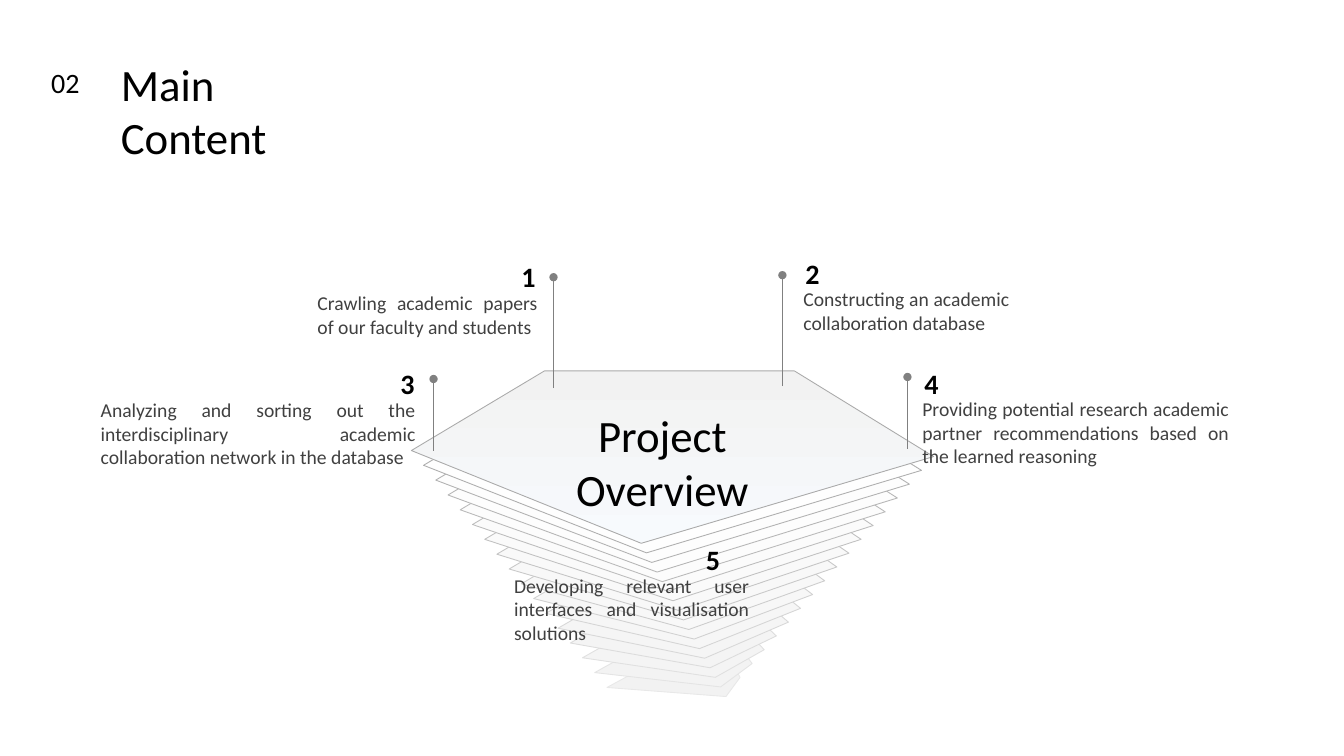
"""Build the "Main Content" slide: a tapering stack of sheets with five labels."""
from dataclasses import dataclass

from lxml import etree
from pptx import Presentation
from pptx.dml.color import RGBColor
from pptx.enum.shapes import MSO_CONNECTOR
from pptx.enum.text import PP_ALIGN
from pptx.oxml.ns import qn
from pptx.util import Inches, Pt

STRAIGHT = MSO_CONNECTOR.STRAIGHT
LEFT, RIGHT = PP_ALIGN.LEFT, PP_ALIGN.RIGHT
CENTER, JUSTIFY = PP_ALIGN.CENTER, PP_ALIGN.JUSTIFY


@dataclass(frozen=True)
class Theme:
    """Colours, type sizes and line widths of the slide."""
    font: str = "Calibri"
    ink: str = "000000"
    body_ink: str = "404040"
    pin: str = "808080"
    gradient: tuple = ("F2F2F2", "F7FAFD")
    sheet_fill: tuple = (0xF2, 0xFF)
    sheet_line: tuple = (0xE8, 0xAA)
    title_size: int = 32
    number_size: int = 20
    body_size: int = 14
    sheet_width: float = 0.63
    pin_width: float = 0.5


def apply(target, values):
    """Set each attribute of the target from a dict."""
    for name, value in values.items():
        setattr(target, name, value)


def blend(start, end, share):
    """Return the value lying at a share of the way between two numbers."""
    return start + (end - start) * share


def grey(ends, share):
    """Return a grey RRGGBB between two levels."""
    return f"{round(blend(*ends, share)):02X}" * 3


class SlideBuilder:
    """Draws themed elements on one slide."""

    def __init__(self, slide, theme):
        """Keep the slide and its style."""
        self.shapes = slide.shapes
        self.theme = theme

    def text(self, box, words, size, color=None, align=LEFT, bold=False, wrap=True):
        """Add a text box; box is left, top, width, height in inches."""
        shape = self.shapes.add_textbox(*map(Inches, box))
        shape.text_frame.word_wrap = wrap
        paragraph = shape.text_frame.paragraphs[0]
        paragraph.alignment = align
        run = paragraph.add_run()
        run.text = words
        apply(run.font, {"name": self.theme.font, "size": Pt(size), "bold": bold})
        run.font.color.rgb = RGBColor.from_string(color or self.theme.ink)

    def label(self, number, number_box, words, words_box, align):
        """Add a bold number and the justified text under it."""
        theme = self.theme
        self.text(number_box, number, theme.number_size, align=align, bold=True)
        self.text(words_box, words, theme.body_size, theme.body_ink, JUSTIFY)

    def sheet(self, corners, line, fill=None):
        """Add a five-cornered sheet, with the theme gradient if no fill is given."""
        points = [(Inches(x), Inches(y)) for x, y in corners]
        builder = self.shapes.build_freeform(*points[0])
        builder.add_line_segments(points[1:], close=True)
        shape = builder.convert_to_shape()
        shape.shadow.inherit = False
        shape.line.width = Pt(self.theme.sheet_width)
        shape.line.color.rgb = RGBColor.from_string(line)
        if fill:
            shape.fill.solid()
            shape.fill.fore_color.rgb = RGBColor.from_string(fill)
            return
        shape.fill.gradient()
        shape.fill.gradient_angle = 270
        for stop, color in zip(shape.fill.gradient_stops, self.theme.gradient):
            stop.color.rgb = RGBColor.from_string(color)

    def pin(self, x, top, length):
        """Add an upright line with a round head at its top."""
        ends = map(Inches, (x, top + length, x, top))
        connector = self.shapes.add_connector(STRAIGHT, *ends)
        connector.line.width = Pt(self.theme.pin_width)
        connector.line.color.rgb = RGBColor.from_string(self.theme.pin)
        etree.SubElement(connector.line._get_or_add_ln(), qn("a:tailEnd"), type="oval")
        etree.SubElement(connector._element.spPr, qn("a:effectLst"))


SHEET_STEPS = 16
BOTTOM_SHEET = [(7.2, 6.91), (7.34, 6.72), (7.24, 6.52), (6.26, 6.69), (6.02, 6.82)]
TOP_SHEET = [(6.36, 5.39), (9.26, 4.53), (7.88, 3.68), (5.4, 3.68), (4.08, 4.47)]
LONG_PIN, SHORT_PIN = 1.1, 0.71
PINS = [(9, 3.74, SHORT_PIN), (7.76, 2.73, LONG_PIN),
        (5.49, 2.75, LONG_PIN), (4.3, 3.76, SHORT_PIN)]
NUMBER_SIZE = (1.65, 0.44)
# number, its left and top, text, text box, alignment of the number
LABELS = [
    ("4", (9.07, 3.59), "Providing potential research academic partner "
     "recommendations based on the learned reasoning", (9.05, 3.89, 3.24, 0.81), LEFT),
    ("2", (7.89, 2.5), "Constructing an academic collaboration database",
     (7.87, 2.8, 2.24, 0.57), LEFT),
    ("1", (3.76, 2.53), "Crawling academic papers of our faculty and students",
     (3.05, 2.84, 2.38, 0.57), RIGHT),
    ("3", (2.56, 3.59), "Analyzing and sorting out the interdisciplinary academic "
     "collaboration network in the database", (0.9, 3.9, 3.32, 0.81), RIGHT),
    ("5", (5.59, 5.33), "Developing relevant user interfaces and visualisation "
     "solutions", (5, 5.64, 2.53, 0.81), RIGHT),
]


def draw_stack(builder):
    """Draw the sheets from the smallest at the bottom to the top one."""
    theme = builder.theme
    for step in range(SHEET_STEPS):
        share = step / SHEET_STEPS
        corners = [(blend(x0, x1, share), blend(y0, y1, share))
                   for (x0, y0), (x1, y1) in zip(BOTTOM_SHEET, TOP_SHEET)]
        builder.sheet(corners, grey(theme.sheet_line, share),
                      grey(theme.sheet_fill, share))
    builder.sheet(TOP_SHEET, grey(theme.sheet_line, 1))


def main():
    """Build and save the presentation."""
    presentation = Presentation()
    apply(presentation, {"slide_width": Inches(13.33), "slide_height": Inches(7.5)})
    slide = presentation.slides.add_slide(presentation.slide_layouts[6])
    theme = Theme()
    builder = SlideBuilder(slide, theme)

    draw_stack(builder)
    for pin in PINS:
        builder.pin(*pin)
    builder.text((4.97, 4, 3.2, 0.64), "Project Overview", theme.title_size, align=CENTER)
    builder.text((0.41, 0.6, 0.49, 0.44), "02", theme.number_size, wrap=False)
    builder.text((1.1, 0.51, 2.67, 0.64), "Main Content", theme.title_size, wrap=False)
    for number, corner, words, words_box, align in LABELS:
        builder.label(number, corner + NUMBER_SIZE, words, words_box, align)

    presentation.save("out.pptx")


main()
